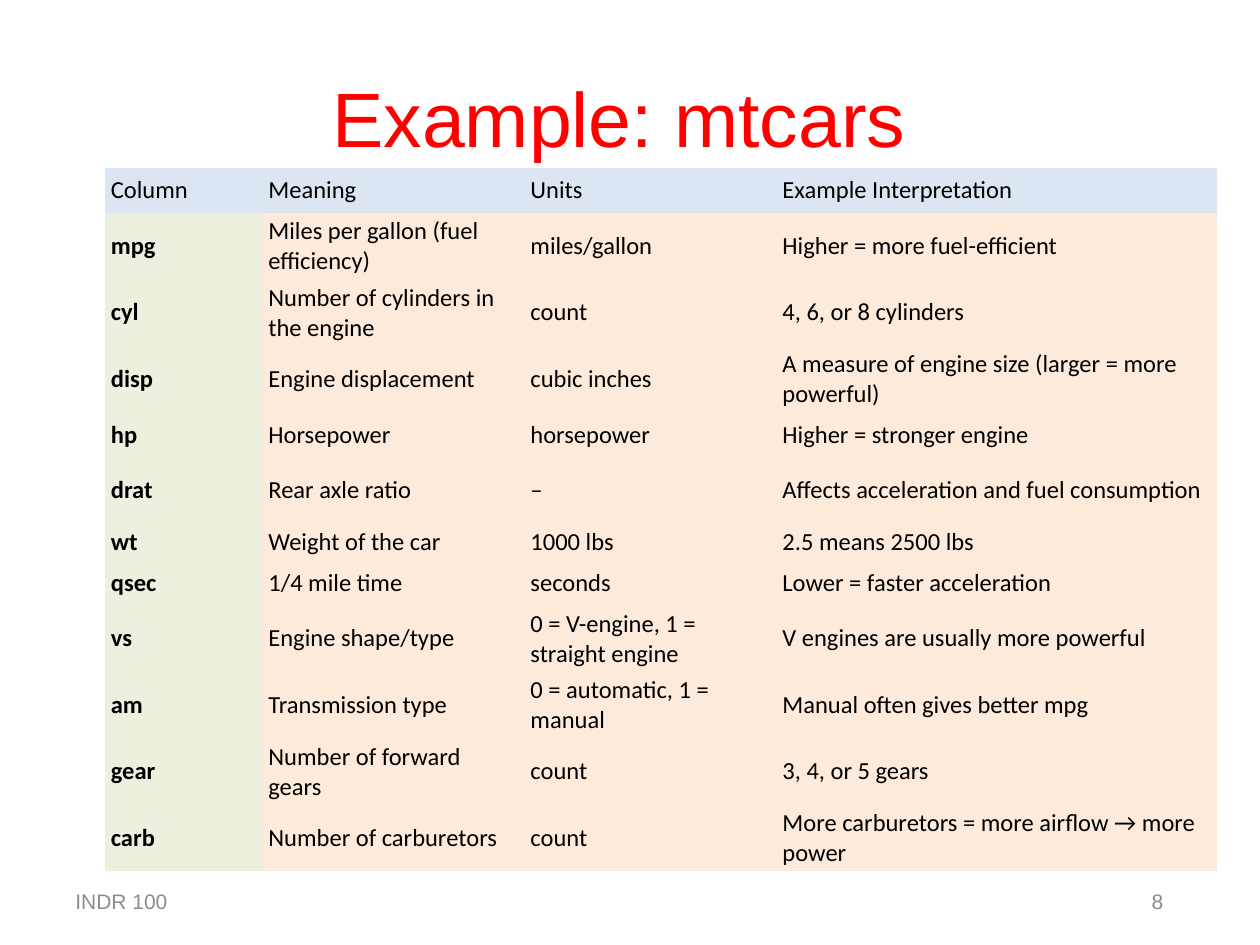
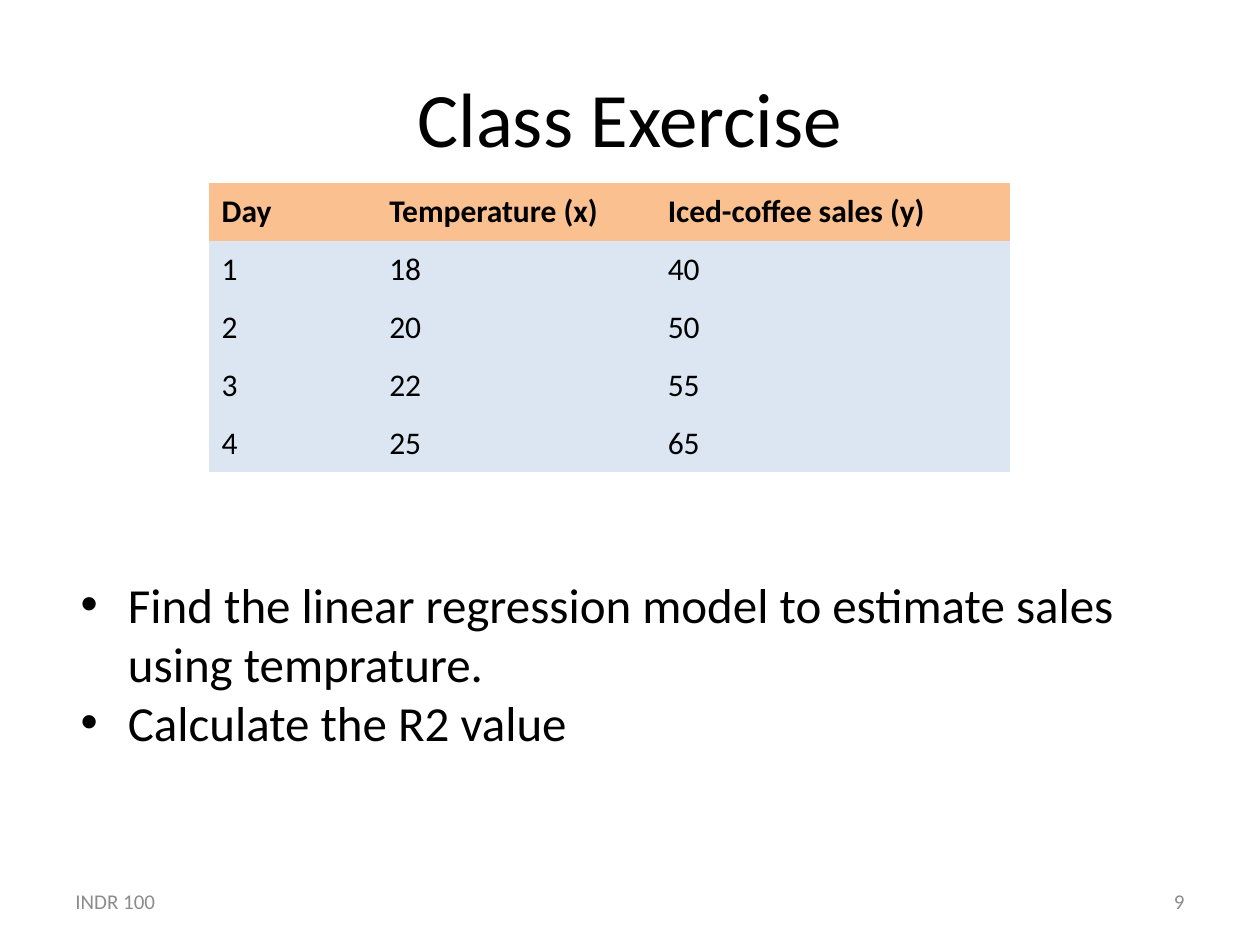
import pptx
import pptx.util
import pptx.dml.color
import pptx.enum.text
from pptx.oxml.ns import qn

Inches, Pt = pptx.util.Inches, pptx.util.Pt
PP_ALIGN = pptx.enum.text.PP_ALIGN
MIDDLE = pptx.enum.text.MSO_ANCHOR.MIDDLE

COLORS = {
    "red": "FF0000", "black": "000000", "grey": "8C8C8C",
    "blue": "DCE6F2", "green": "EBF1DE", "peach": "FDEADA", "orange": "FAC090",
}
PLAIN_TABLE = "{2D5ABB26-0587-4C30-8999-92F81FD0307C}"

# Content
COURSE = "INDR 100"
CAR_COLUMNS = [
    ("Column", "Meaning", "Units", "Example Interpretation"),
    ("mpg", "Miles per gallon (fuel efficiency)", "miles/gallon", "Higher = more fuel-efficient"),
    ("cyl", "Number of cylinders in the engine", "count", "4, 6, or 8 cylinders"),
    ("disp", "Engine displacement", "cubic inches", "A measure of engine size (larger = more powerful)"),
    ("hp", "Horsepower", "horsepower", "Higher = stronger engine"),
    ("drat", "Rear axle ratio", "–", "Affects acceleration and fuel consumption"),
    ("wt", "Weight of the car", "1000 lbs", "2.5 means 2500 lbs"),
    ("qsec", "1/4 mile time", "seconds", "Lower = faster acceleration"),
    ("vs", "Engine shape/type", "0 = V-engine, 1 = straight engine", "V engines are usually more powerful"),
    ("am", "Transmission type", "0 = automatic, 1 = manual", "Manual often gives better mpg"),
    ("gear", "Number of forward gears", "count", "3, 4, or 5 gears"),
    ("carb", "Number of carburetors", "count", "More carburetors = more airflow → more power"),
]
CAR_WIDTHS = [1.25, 2.08, 2, 3.5]
CAR_HEIGHTS = [0.36, 0.36, 0.52, 0.52, 0.36, 0.52, 0.21, 0.36, 0.52, 0.36, 0.36, 0.52]
SALES = [
    ("Day", "Temperature (x)", "Iced-coffee sales (y)"),
    (1, 18, 40),
    (2, 20, 50),
    (3, 22, 55),
    (4, 25, 65),
]
SALES_WIDTHS = [1.33, 2.21, 2.82]
TASKS = [
    "Find the linear regression model to estimate sales using temprature.",
    "Calculate the R2 value",
]


def rgb(name):
    return pptx.dml.color.RGBColor.from_string(COLORS[name])


def add_run(p, text, size, font, color, bold=False):
    r = p.add_run()
    r.text = text
    r.font.size, r.font.name, r.font.bold = Pt(size), font, bold
    r.font.color.rgb = rgb(color)


def place(sp, left, top, width, height):
    sp.left, sp.top = Inches(left), Inches(top)
    sp.width, sp.height = Inches(width), Inches(height)


def add_slide(layout, title, font, color, number, number_left):
    """Slide with the shared title, course footer and page number."""
    slide = prs.slides.add_slide(prs.slide_layouts[layout])
    sp = slide.shapes.title
    place(sp, 0.5, 0.3, 9, 1.25)
    sp.text_frame.vertical_anchor = MIDDLE
    p = sp.text_frame.paragraphs[0]
    p.alignment = PP_ALIGN.CENTER
    add_run(p, title, 44, font, color)
    for left, text, align in ((0.5, COURSE, PP_ALIGN.LEFT),
                              (number_left, str(number), PP_ALIGN.RIGHT)):
        sp = slide.shapes.add_textbox(Inches(left), Inches(6.95), Inches(2.33), Inches(0.4))
        tf = sp.text_frame
        tf.word_wrap, tf.vertical_anchor = True, MIDDLE
        tf.paragraphs[0].alignment = align
        add_run(tf.paragraphs[0], text, 12, font, "grey")
    return slide


def add_table(slide, left, top, rows, widths, heights, size, style, margins=(0.1, 0.05)):
    """Table whose style(row, column) gives each cell's fill and bold."""
    frame = slide.shapes.add_table(len(rows), len(widths), Inches(left), Inches(top),
                                   Inches(sum(widths)), Inches(sum(heights)))
    table = frame.table
    table.first_row = table.horz_banding = False
    frame._element.find(".//" + qn("a:tableStyleId")).text = PLAIN_TABLE
    for column, width in zip(table.columns, widths):
        column.width = Inches(width)
    for i, row in enumerate(rows):
        table.rows[i].height = Inches(heights[i])
        for j, value in enumerate(row):
            cell = table.cell(i, j)
            fill, bold = style(i, j)
            cell.fill.solid()
            cell.fill.fore_color.rgb = rgb(fill)
            cell.vertical_anchor = MIDDLE
            cell.margin_left = cell.margin_right = Inches(margins[0])
            cell.margin_top = cell.margin_bottom = Inches(margins[1])
            add_run(cell.text_frame.paragraphs[0], str(value), size, "Calibri", "black", bold)


def car_style(i, j):
    if i == 0:
        return "blue", False
    return ("green", True) if j == 0 else ("peach", False)


def sales_style(i, j):
    return ("orange", True) if i == 0 else ("blue", False)


prs = pptx.Presentation()
prs.slide_width, prs.slide_height = Inches(10), Inches(7.5)

# Data set columns
slide = add_slide(5, "Example: mtcars ", "Arial", "red", 8, 7)
add_table(slide, 0.83, 1.33, CAR_COLUMNS, CAR_WIDTHS, CAR_HEIGHTS, 14, car_style, (0.05, 0.03))

# Exercise: data and tasks
slide = add_slide(1, "Class Exercise", "Calibri", "black", 9, 7.17)
add_table(slide, 1.66, 1.45, SALES, SALES_WIDTHS, [0.46] * len(SALES), 18, sales_style)
body = slide.placeholders[1]
place(body, 0.54, 4.51, 8.79, 1.51)
tf = body.text_frame
tf.auto_size = pptx.enum.text.MSO_AUTO_SIZE.SHAPE_TO_FIT_TEXT
for i, task in enumerate(TASKS):
    p = tf.add_paragraph() if i else tf.paragraphs[0]
    p.space_before = Pt(0)
    add_run(p, task, 28, "Calibri", "black")

prs.save("out.pptx")
